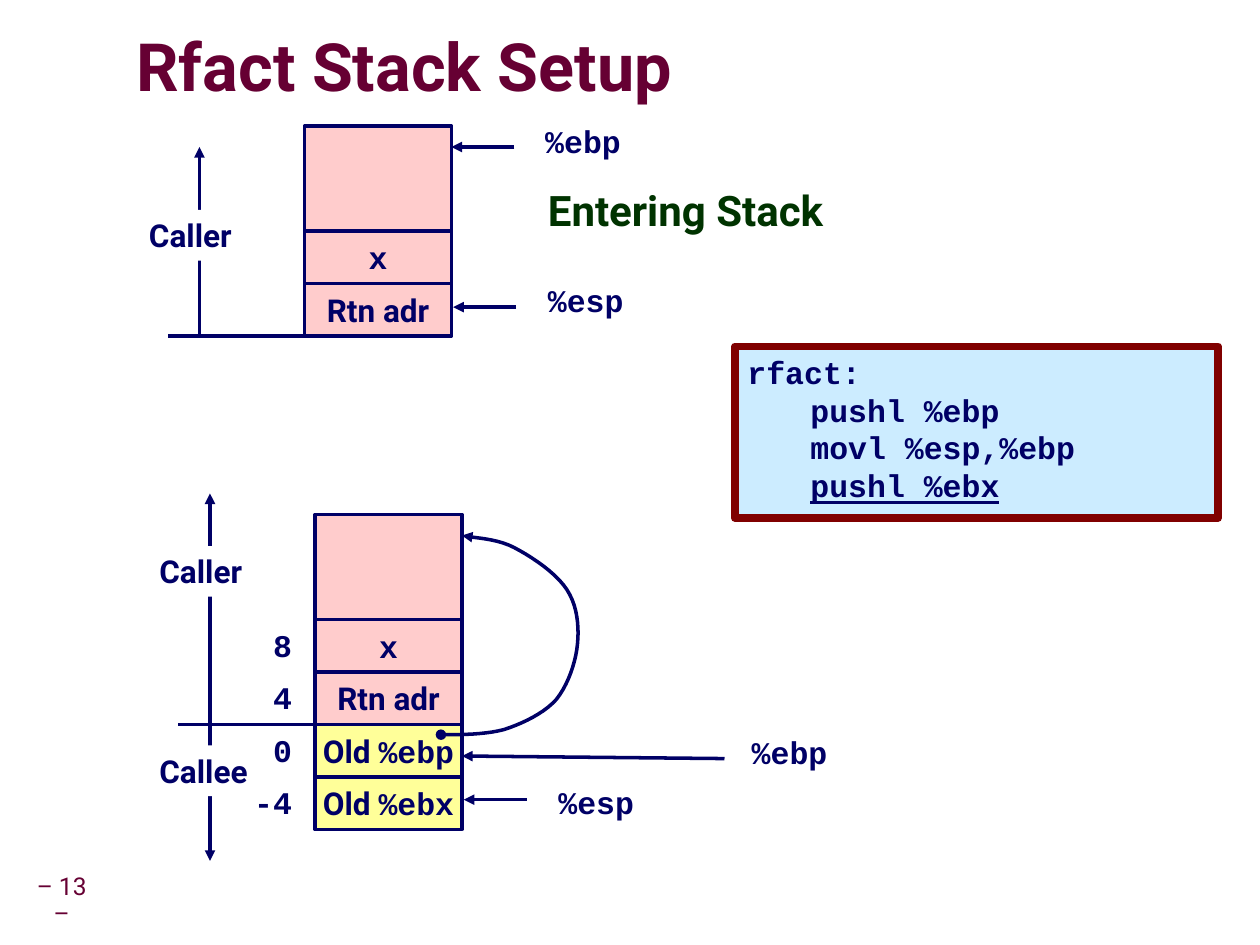
"""Build the Rfact stack setup slide."""
from lxml import etree
from pptx import Presentation
from pptx.dml.color import RGBColor
from pptx.enum import shapes, text
from pptx.oxml import ns
from pptx.util import Pt

HEX = dict(navy="000066", plum="660033", green="003300", pink="FFCCCC",
           yellow="FFFF99", white="FFFFFF", sky="CCECFF", red="800000")
RGB = {name: RGBColor.from_string(code) for name, code in HEX.items()}
SANS, MONO = "Roboto", "Courier New"
LEFT, MID, RIGHT = text.PP_ALIGN.LEFT, text.PP_ALIGN.CENTER, text.PP_ALIGN.RIGHT

deck = Presentation()
deck.slide_width, deck.slide_height = Pt(720), Pt(540)
slide = deck.slides.add_slide(deck.slide_layouts[6])
items = slide.shapes


def block(x, y, w, h, lines, fill=None, edge=None, align=LEFT, size=18,
          ink="navy", wrap=False, inset=7.2, weight=2, mid=False):
    place = Pt(x), Pt(y), Pt(w), Pt(h)
    if fill:
        box = items.add_shape(shapes.MSO_SHAPE.RECTANGLE, *place)
        box.shadow.inherit = False
        box.fill.solid()
        box.fill.fore_color.rgb = RGB[fill]
        if edge:
            box.line.color.rgb = RGB[edge]
            box.line.width = Pt(weight)
        else:
            box.line.fill.background()
    else:
        box = items.add_textbox(*place)
    frame = box.text_frame
    frame.word_wrap = wrap
    frame.margin_left = frame.margin_right = Pt(inset)
    frame.margin_top = frame.margin_bottom = Pt(inset / 2)
    frame.vertical_anchor = text.MSO_ANCHOR.MIDDLE if mid else text.MSO_ANCHOR.TOP
    for num, runs in enumerate(lines):
        para = frame.add_paragraph() if num else frame.paragraphs[0]
        para.alignment = align
        for words, face in runs:
            run = para.add_run()
            run.text = words
            run.font.name, run.font.size = face, Pt(size)
            run.font.bold = True
            run.font.color.rgb = RGB[ink]
    return box


def arrow(x1, y1, x2, y2, tip=True):
    line = items.add_connector(shapes.MSO_CONNECTOR.STRAIGHT, Pt(x1), Pt(y1), Pt(x2), Pt(y2))
    line.line.color.rgb = RGB["navy"]
    line.line.width = Pt(2)
    if tip:
        etree.SubElement(line.line._get_or_add_ln(), ns.qn("a:tailEnd"), type="triangle")
    etree.SubElement(line._element.spPr, ns.qn("a:effectLst"))


page = block(17.3, 504, 36, 22, [[("– 13 –", SANS)]], align=MID, size=14,
             ink="plum", wrap=True, inset=0, mid=True)
page.text_frame.paragraphs[0].line_spacing = 0.9
page.text_frame.paragraphs[0].runs[0].font.bold = False

title = block(78, 18, 440, 45, [[("Rfact Stack Setup", SANS)]], size=38,
              ink="plum", wrap=True, inset=0, mid=True)
head = title.text_frame.paragraphs[0]
head.line_spacing = 0.87
glow = etree.Element(ns.qn("a:effectLst"))
cast = etree.SubElement(glow, ns.qn("a:outerShdw"), dist="38100", dir="2700000", blurRad="38100")
shade = etree.SubElement(cast, ns.qn("a:srgbClr"), val="C0C0C0")
head.runs[0].font.fill._xPr.find(ns.qn("a:solidFill")).addnext(glow)

block(306, 102, 182, 36, [[("Entering Stack", SANS)]], size=24, ink="green")

arrow(174, 192, 96, 192, False)
arrow(114, 192, 114, 84)
arrow(180, 414, 102, 414, False)
arrow(120, 414, 120, 282)
arrow(120, 414, 120, 492)
for x, y, w, name in [(78, 120, 65, "Caller"), (84, 312, 65, "Caller"),
                      (84, 426, 68, "Callee")]:
    block(x, y, w, 29, [[(name, SANS)]], "white")

caller = [("pink", 60, []), ("pink", 30, [("x", MONO)]), ("pink", 30, [("Rtn adr", SANS)])]
callee = [("yellow", 30, [("Old ", SANS), (reg, MONO)]) for reg in ("%ebp", "%ebx")]
for x, y, cells in [(174, 72, caller), (180, 294, caller + callee)]:
    for fill, high, runs in cells:
        block(x, y, 84, high, [runs], fill, "navy", MID, mid=True)
        y += high

for row, mark in enumerate(["8", "4", "0", "-4"]):
    block(138, 354 + 30 * row, 36, 29, [[(mark, MONO)]], align=RIGHT)

for x, y, name in [(304.5, 66, "%ebp"), (306, 157, "%esp"),
                   (422.5, 415.5, "%ebp"), (312, 444, "%esp")]:
    block(x, y, 58, 29, [[(name, MONO)]])
for ends in [(294, 84, 258, 84), (295, 175.5, 259, 175.5),
             (414, 433.5, 264, 432), (301, 457, 265, 457)]:
    arrow(*ends)

start = (252, 419.8)
bends = [[(264, 419.8), (277, 419.8), (288, 416.9)],
         [(299, 413.3), (311, 407.5), (318, 399.6)],
         [(324.7, 391), (329, 378.7), (330, 368)],
         [(331, 358), (330, 346.3), (324, 337)],
         [(318, 327.6), (304, 318.2), (294, 313)],
         [(283.7, 307.4), (269.3, 307.4), (264, 306)]]
dots, here = [], start
for bend in bends:
    for step in range(1, 11):
        t = step / 10
        dots.append(tuple(Pt((1 - t)**3 * a + 3 * t * (1 - t)**2 * b + 3 * t * t * (1 - t) * c + t**3 * d)
                          for a, b, c, d in zip(here, *bend)))
    here = bend[-1]
pen = items.build_freeform(Pt(start[0]), Pt(start[1]))
pen.add_line_segments(dots, close=False)
curve = pen.convert_to_shape()
curve.shadow.inherit = False
curve.fill.background()
curve.line.color.rgb = RGB["navy"]
curve.line.width = Pt(2)
for tag, kind in [("a:headEnd", "oval"), ("a:tailEnd", "triangle")]:
    etree.SubElement(curve.line._get_or_add_ln(), ns.qn(tag), type=kind)

code = [["rfact:"], ["\tpushl %ebp"], ["\tmovl %esp,%ebp"], ["\t", "pushl %ebx"]]
panel = block(420, 198, 276, 98, [[(part, MONO) for part in line] for line in code],
              "sky", "red", wrap=True, weight=4.5)
for para in panel.text_frame.paragraphs:
    tabs = etree.SubElement(para._p.get_or_add_pPr(), ns.qn("a:tabLst"))
    etree.SubElement(tabs, ns.qn("a:tab"), pos=str(Pt(36)), algn="l")
para.runs[-1].font.underline = True

deck.save("out.pptx")
